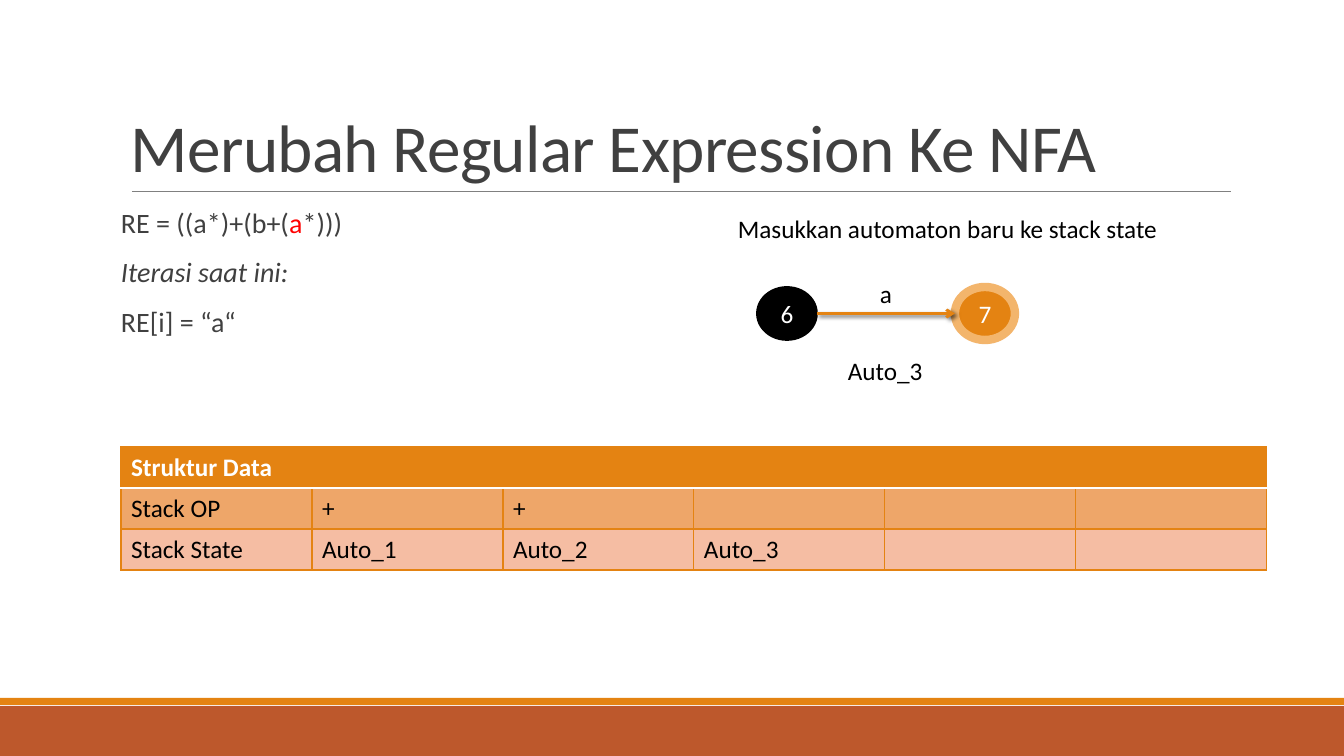
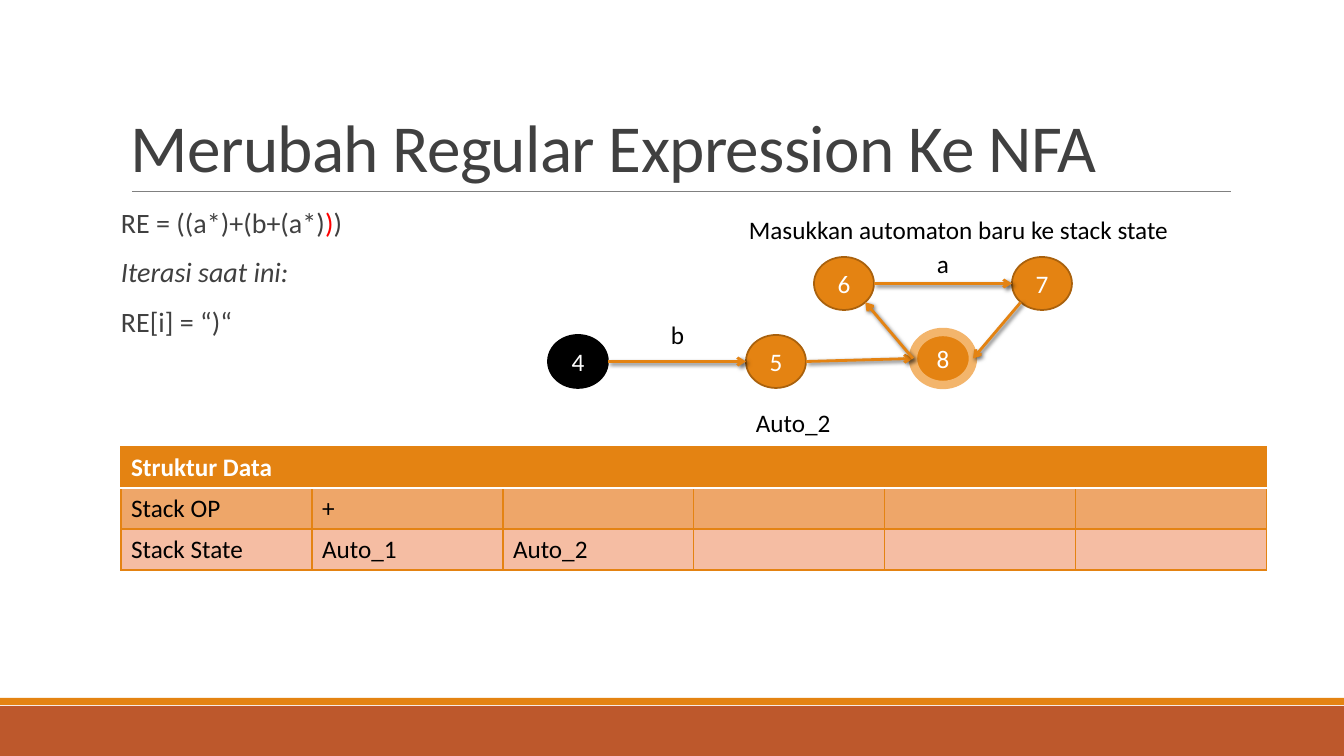
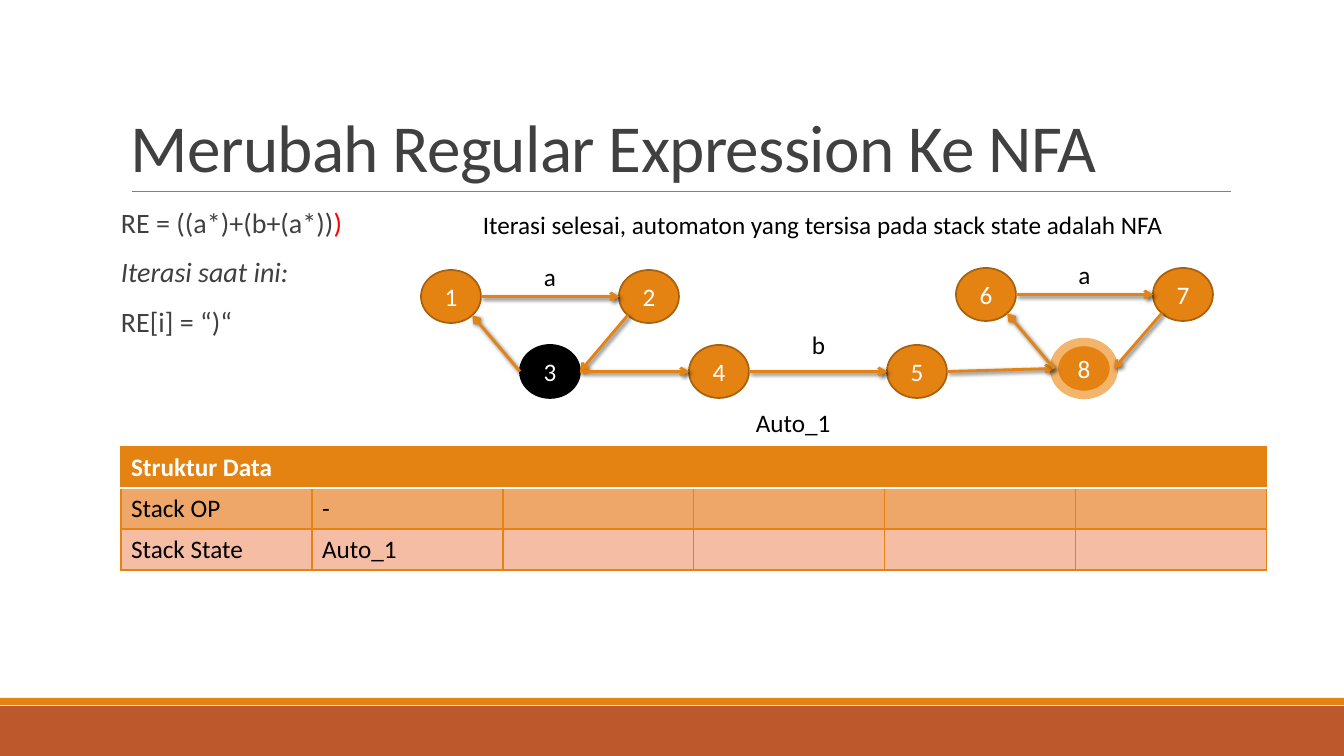
from math import sqrt

from lxml.etree import SubElement
from pptx import Presentation
from pptx.dml.color import RGBColor
from pptx.enum.shapes import MSO_CONNECTOR, MSO_SHAPE
from pptx.enum.text import MSO_ANCHOR, PP_ALIGN
from pptx.oxml.ns import qn
from pptx.util import Emu, Pt

SLIDE_WIDTH, SLIDE_HEIGHT = 1344, 756
EMU_PER_PX = 12192000 / SLIDE_WIDTH
FONT = "Calibri"
COLORS = {
    "band": "BD582C", "accent": "E48312", "rule": "808080", "heading": "404040",
    "text": "000000", "white": "FFFFFF", "mark": "FF0000", "outline": "A9610D",
    "halo": "F3B56C", "operator_row": "EEA669", "state_row": "F5BDA3",
}
TITLE = "Merubah Regular Expression Ke NFA"
NODE_WIDTH, NODE_HEIGHT = 60, 53
# Fill, outline colour, outline width in points
NODE_STYLES = {
    "start": ("text", "text", 1.25),
    "middle": ("accent", "outline", 1.25),
    "final": ("accent", "halo", 6),
}
LABEL_LIFT = {"a": 40, "b": 47}
TABLE_LEFT, TABLE_TOP, TABLE_COLUMNS = 121, 447, 6
COLUMN_WIDTH, ROW_HEIGHT = 191, 41


def loop(first, second, hub):
    """Edges of a starred letter: two states joined by a, closed through a hub."""
    return [
        (first, "right", second, "left", "a"),
        (second, "bottom_left", hub, "right", ""),
        (hub, "left", first, "bottom_right", ""),
    ]


B_PATH = [("4", "right", "5", "left", "b"), ("5", "right", "8", "left", "")]

SLIDES = [
    {
        "expression": ("RE = ((a*)+(b+(", "a", "*)))"),
        "current": "RE[i] = “a“",
        "message": ("Masukkan automaton baru ke stack state", 728, 208, 444),
        "caption": ("Auto_3", 838, 350, 96),
        "nodes": {"6": (757, 287, "start"), "7": (955, 287, "final")},
        "edges": [("6", "right", "7", "left", "a")],
        "operators": ["+", "+"],
        "states": ["Auto_1", "Auto_2", "Auto_3"],
    },
    {
        "expression": ("RE = ((a*)+(b+(a*)", ")", ")"),
        "current": "RE[i] = “)“",
        "message": ("Masukkan automaton baru ke stack state", 739, 209, 444),
        "caption": ("Auto_2", 746, 402, 96),
        "nodes": {
            "4": (548, 335, "start"), "5": (746, 335, "middle"),
            "6": (814, 257, "middle"), "7": (1012, 257, "middle"),
            "8": (913, 332, "final"),
        },
        "edges": B_PATH + loop("6", "7", "8"),
        "operators": ["+"],
        "states": ["Auto_1", "Auto_2"],
    },
    {
        "expression": ("RE = ((a*)+(b+(a*))", ")", ""),
        "current": "RE[i] = “)“",
        "message": ("Iterasi selesai, automaton yang tersisa pada stack state adalah NFA",
                    473, 204, 708),
        "caption": ("Auto_1", 746, 402, 96),
        "nodes": {
            "1": (421, 270, "middle"), "2": (619, 270, "middle"),
            "3": (520, 345, "start"), "4": (689, 345, "middle"),
            "5": (887, 345, "middle"), "6": (956, 268, "middle"),
            "7": (1153, 268, "middle"), "8": (1054, 342, "final"),
        },
        "edges": loop("1", "2", "3") + [("3", "right", "4", "left", "")]
                 + B_PATH + loop("6", "7", "8"),
        "operators": ["-"],
        "states": ["Auto_1"],
    },
]


def px(value):
    return Emu(round(value * EMU_PER_PX))


def rgb(name):
    return RGBColor.from_string(COLORS[name])


def write(paragraph, text, size=18, color="text", bold=False, italic=False,
          align=PP_ALIGN.LEFT, tracking=None):
    """Add one formatted run; tracking is in hundredths of a point."""
    paragraph.alignment = align
    run = paragraph.add_run()
    run.text = text
    font = run.font
    font.name, font.size, font.bold, font.italic = FONT, Pt(size), bold, italic
    font.color.rgb = rgb(color)
    if tracking is not None:
        font._element.set("spc", str(tracking))


def add_box(slide, left, top, width, height, wrap=True):
    frame = slide.shapes.add_textbox(px(left), px(top), px(width), px(height)).text_frame
    frame.word_wrap = wrap
    return frame


def add_label(slide, text, left, top, width, **text_format):
    frame = add_box(slide, left, top, width, 40, wrap=False)
    write(frame.paragraphs[0], text, **text_format)


def add_filled(slide, preset, left, top, width, height, fill):
    shape = slide.shapes.add_shape(preset, px(left), px(top), px(width), px(height))
    shape.shadow.inherit = False
    shape.fill.solid()
    shape.fill.fore_color.rgb = rgb(fill)
    shape.line.fill.background()
    return shape


def add_line(slide, start, end, color, width):
    """Draw a straight line and return it with its empty effect list."""
    line = slide.shapes.add_connector(
        MSO_CONNECTOR.STRAIGHT, *(px(value) for value in (*start, *end)))
    line.line.color.rgb = rgb(color)
    line.line.width = Pt(width)
    return line, SubElement(line._element.spPr, qn("a:effectLst"))


def add_arrow(slide, start, end):
    arrow, effects = add_line(slide, start, end, "accent", 2)
    SubElement(arrow.line._get_or_add_ln(), qn("a:tailEnd"), type="arrow")
    shadow = SubElement(effects, qn("a:outerShdw"), blurRad=str(Pt(3)),
                        dist=str(Pt(2)), dir=str(45 * 60000), rotWithShape="0")
    shade = SubElement(shadow, qn("a:srgbClr"), val=COLORS["text"])
    SubElement(shade, qn("a:alpha"), val="60000")


def add_frame(slide):
    """Bands, title and rule shared by all slides."""
    for top, height, color in ((706, 50, "band"), (698, 7, "accent")):
        add_filled(slide, MSO_SHAPE.RECTANGLE, 0, top, SLIDE_WIDTH, height, color)
    add_line(slide, (132, 191), (1231, 191), "rule", 0.5)
    frame = add_box(slide, 121, 31, 1109, 160)
    frame.vertical_anchor = MSO_ANCHOR.BOTTOM
    frame.paragraphs[0].line_spacing = 0.85
    write(frame.paragraphs[0], TITLE, size=48, color="heading", tracking=-50)


def add_iteration(slide, expression, current):
    frame = add_box(slide, 121, 204, 1109, 444)
    frame.margin_left = frame.margin_right = 0
    before, marked, after = expression
    lines = [
        [(before, "heading", False), (marked, "mark", False), (after, "heading", False)],
        [("Iterasi saat ini:", "heading", True)],
        [(current, "heading", False)],
    ]
    for index, runs in enumerate(lines):
        paragraph = frame.add_paragraph() if index else frame.paragraphs[0]
        paragraph.line_spacing = 0.9
        paragraph.space_before = Pt(12 if index else 0)
        paragraph.space_after = Pt(2)
        for text, color, italic in runs:
            if text:
                write(paragraph, text, size=20, color=color, italic=italic)


def style_cell(cell, fill, top, bottom):
    """Set the fill and borders; top and bottom are (colour, width) pairs."""
    side = ("accent", 1)
    properties = cell._tc.get_or_add_tcPr()
    for tag, (color, width) in zip(("lnL", "lnR", "lnT", "lnB"), (side, side, top, bottom)):
        border = SubElement(properties, qn(f"a:{tag}"), w=str(Pt(width)))
        SubElement(SubElement(border, qn("a:solidFill")), qn("a:srgbClr"), val=COLORS[color])
    cell.fill.solid()
    cell.fill.fore_color.rgb = rgb(fill)


def add_stacks(slide, operators, states):
    orange, white = ("accent", 1), ("white", 1.25)
    rows = [
        (["Struktur Data"], "accent", orange, white),
        (["Stack OP", *operators], "operator_row", white, orange),
        (["Stack State", *states], "state_row", orange, orange),
    ]
    table = slide.shapes.add_table(
        len(rows), TABLE_COLUMNS, px(TABLE_LEFT), px(TABLE_TOP),
        px(COLUMN_WIDTH * TABLE_COLUMNS), px(ROW_HEIGHT * len(rows))).table
    table.horz_banding = False
    for row, (texts, fill, top, bottom) in enumerate(rows):
        header = row == 0
        for column in range(TABLE_COLUMNS):
            cell = table.cell(row, column)
            style_cell(cell, fill, top, bottom)
            if column < len(texts):
                write(cell.text_frame.paragraphs[0], texts[column], bold=header,
                      color="white" if header else "text")


def add_node(slide, name, left, top, kind):
    fill, outline, width = NODE_STYLES[kind]
    node = add_filled(slide, MSO_SHAPE.OVAL, left, top, NODE_WIDTH, NODE_HEIGHT, fill)
    node.line.color.rgb = rgb(outline)
    node.line.width = Pt(width)
    node.text_frame.vertical_anchor = MSO_ANCHOR.MIDDLE
    write(node.text_frame.paragraphs[0], name, color="white", align=PP_ALIGN.CENTER)


def node_point(node, side):
    """Point on the outline of a node where an arrow meets it."""
    diagonal = 1 / sqrt(2)
    across, down = {
        "left": (-1, 0), "right": (1, 0),
        "bottom_left": (-diagonal, diagonal), "bottom_right": (diagonal, diagonal),
    }[side]
    left, top, _ = node
    return left + NODE_WIDTH / 2 * (1 + across), top + NODE_HEIGHT / 2 * (1 + down)


def add_automaton(slide, nodes, edges):
    for name, node in nodes.items():
        add_node(slide, name, *node)
    for source, source_side, target, target_side, label in edges:
        start = node_point(nodes[source], source_side)
        end = node_point(nodes[target], target_side)
        add_arrow(slide, start, end)
        if label:
            add_label(slide, label, (start[0] + end[0]) / 2 - 16,
                      start[1] - LABEL_LIFT[label], 32, align=PP_ALIGN.CENTER)


def main():
    presentation = Presentation()
    presentation.slide_width, presentation.slide_height = px(SLIDE_WIDTH), px(SLIDE_HEIGHT)
    for content in SLIDES:
        slide = presentation.slides.add_slide(presentation.slide_layouts[6])
        add_frame(slide)
        add_iteration(slide, content["expression"], content["current"])
        add_stacks(slide, content["operators"], content["states"])
        add_automaton(slide, content["nodes"], content["edges"])
        add_label(slide, *content["message"])
        add_label(slide, *content["caption"])
    presentation.save("out.pptx")


if __name__ == "__main__":
    main()
